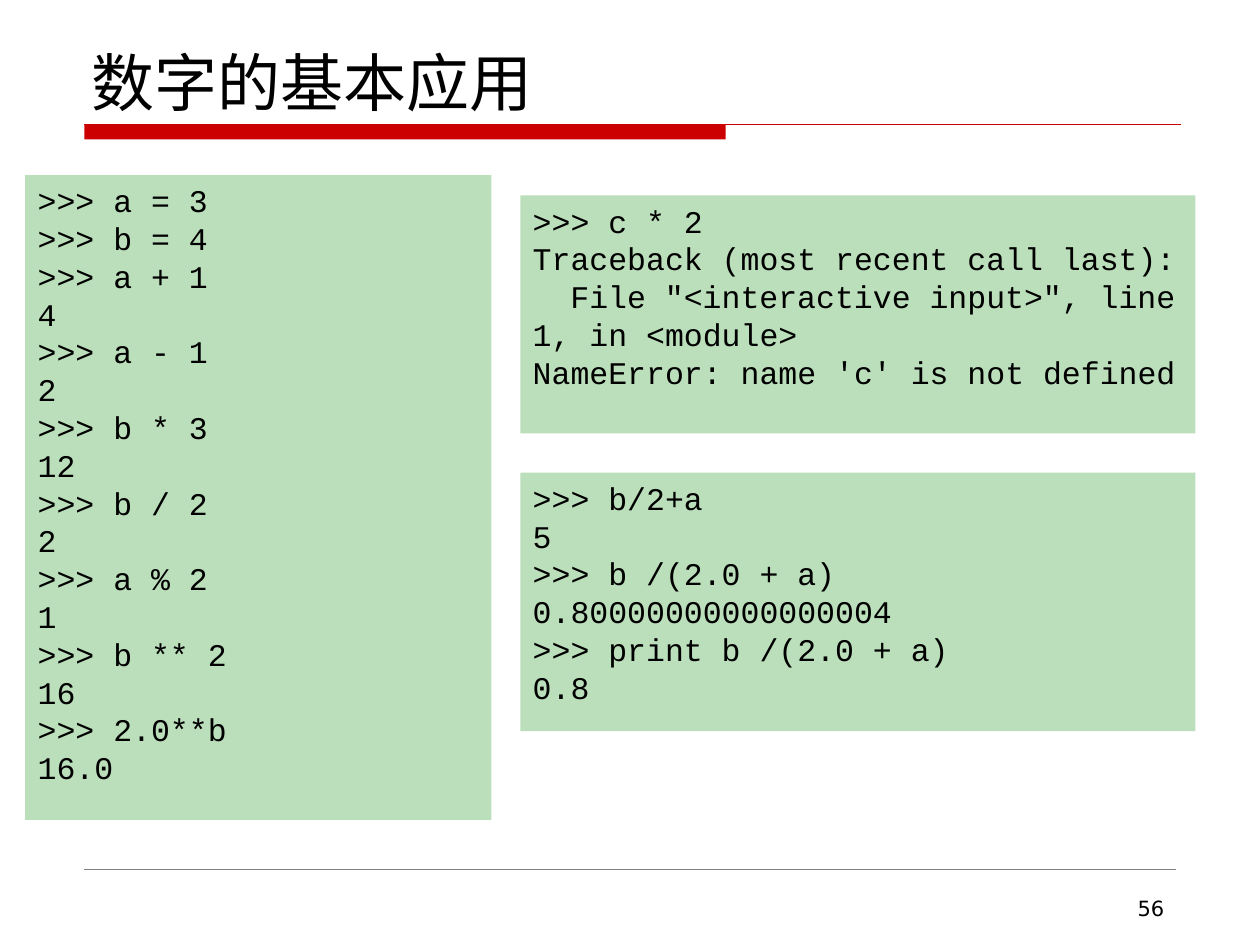
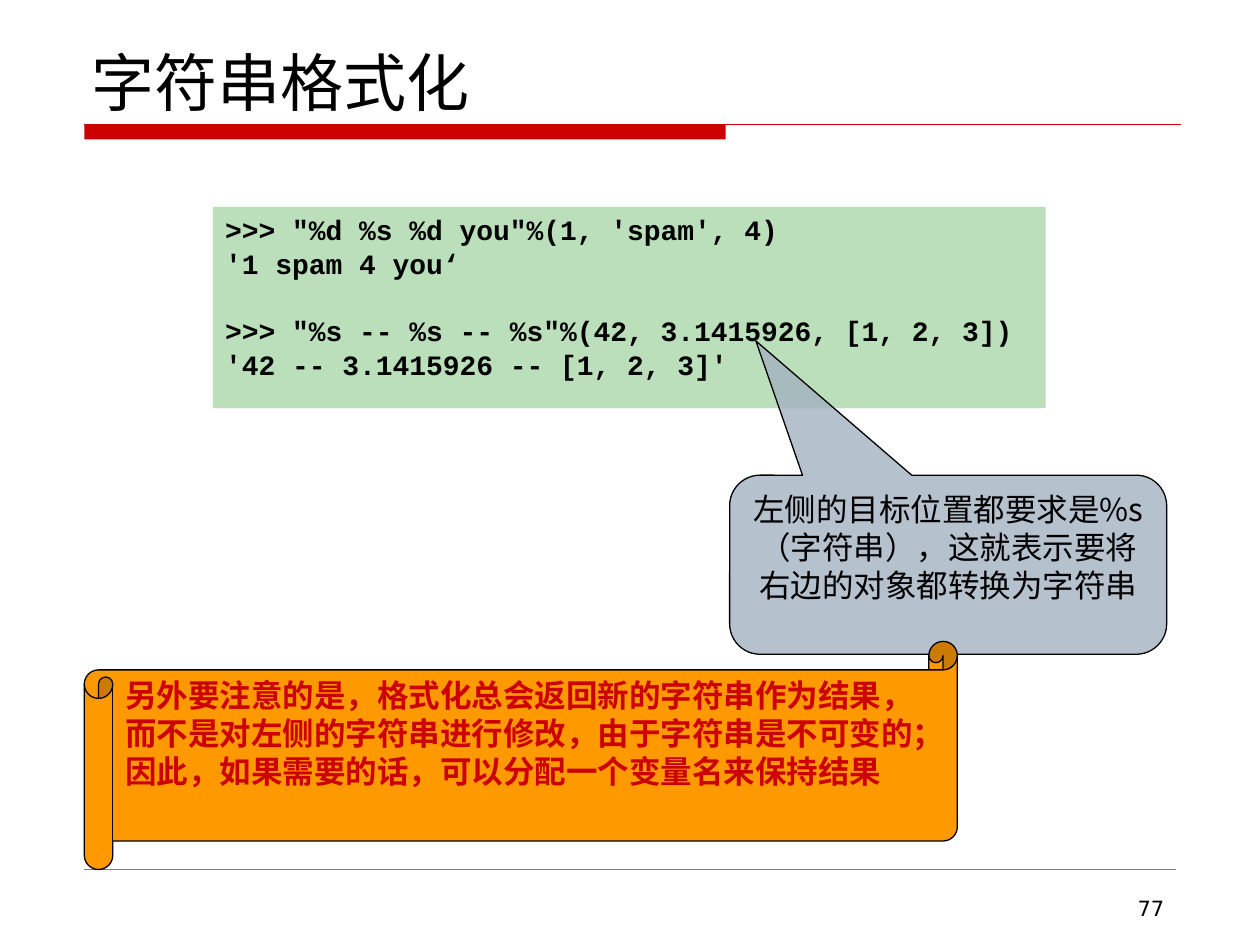
import pptx
import pptx.util
import pptx.dml.color
import pptx.enum.shapes
import pptx.enum.text
import pptx.oxml.ns
import lxml.etree

Cm = pptx.util.Cm
Pt = pptx.util.Pt
RGBColor = pptx.dml.color.RGBColor
Shape = pptx.enum.shapes.MSO_SHAPE
Align = pptx.enum.text.PP_ALIGN
Anchor = pptx.enum.text.MSO_ANCHOR
qn = pptx.oxml.ns.qn

BLACK = RGBColor(0x00, 0x00, 0x00)
RED = RGBColor(0xCC, 0x00, 0x00)
GREY = RGBColor(0x80, 0x80, 0x80)
CODE_GREEN = RGBColor(0xBB, 0xDF, 0xBB)
CALLOUT_BLUE = RGBColor(0xA3, 0xB2, 0xC1)
SCROLL_ORANGE = RGBColor(0xFF, 0x99, 0x00)

SANS = "DejaVu Sans"
CHINESE = "Noto Sans CJK SC"
MONO = "Courier New"

LINE_PITCH = 1.2
TRACE_INDENT = Cm(0.76)

ARITHMETIC = [
    (">>> a = 3",), (">>> b = 4",),
    (">>> a + 1", "4"), (">>> a - 1", "2"), (">>> b * 3", "12"),
    (">>> b / 2", "2"), (">>> a % 2", "1"), (">>> b ** 2", "16"),
    (">>> 2.0**b", "16.0"),
]
NAME_ERROR = [
    ">>> c * 2",
    "Traceback (most recent call last):",
    'File "<interactive input>", line 1, in <module>',
    "NameError: name 'c' is not defined",
]
PRECEDENCE = [
    ">>> b/2+a", "5",
    ">>> b /(2.0 + a)", "0.80000000000000004",
    ">>> print b /(2.0 + a)", "0.8",
]
FORMATTING = [
    ">>> \"%d %s %d you\"%(1, 'spam', 4)",
    "'1 spam 4 you‘",
    '>>> "%s -- %s -- %s"%(42, 3.1415926, [1, 2, 3])',
    "'42 -- 3.1415926 -- [1, 2, 3]'",
]
CALLOUT_TEXT = "左侧的目标位置都要求是%s（字符串），这就表示要将右边的对象都转换为字符串"
SCROLL_TEXT = (
    "另外要注意的是，格式化总会返回新的字符串作为结果，"
    "而不是对左侧的字符串进行修改，由于字符串是不可变的；"
    "因此，如果需要的话，可以分配一个变量名来保持结果"
)


def write(shape, lines, size, font, color=BLACK, bold=False,
          align=Align.LEFT, anchor=Anchor.TOP):
    frame = shape.text_frame
    frame.word_wrap = True
    frame.vertical_anchor = anchor
    for index, line in enumerate(lines):
        para = frame.add_paragraph() if index else frame.paragraphs[0]
        para.alignment = align
        para.line_spacing = Pt(size * LINE_PITCH)
        span = para.add_run()
        span.text = line
        span.font.size = Pt(size)
        span.font.bold = bold
        span.font.name = font
        span.font.color.rgb = color
        east_asian = lxml.etree.SubElement(span.font._element, qn("a:ea"))
        east_asian.set("typeface", CHINESE)
    return frame.paragraphs


def add_panel(page, kind, box, fill, outline=None):
    panel = page.shapes.add_shape(kind, *map(Cm, box))
    panel.shadow.inherit = False
    panel.fill.solid()
    panel.fill.fore_color.rgb = fill
    if outline is None:
        panel.line.fill.background()
    else:
        panel.line.color.rgb = outline
        panel.line.width = Pt(0.75)
    return panel


def add_rule(page, left, top, width, color, weight):
    rule = page.shapes.add_connector(
        pptx.enum.shapes.MSO_CONNECTOR.STRAIGHT,
        Cm(left), Cm(top), Cm(left + width), Cm(top))
    rule.line.color.rgb = color
    rule.line.width = Pt(weight)
    lxml.etree.SubElement(rule._element.spPr, qn("a:effectLst"))


def add_label(page, box, text, size, **style):
    label = page.shapes.add_textbox(*map(Cm, box))
    write(label, [text], size, SANS, **style)


def add_frame(deck, title, number):
    page = deck.slides.add_slide(deck.slide_layouts[6])
    left, top = 1.7, 2.51
    add_panel(page, Shape.RECTANGLE, (left, top, 12.93, 0.3), RED)
    add_rule(page, left, top, 22.1, RED, 0.75)
    add_rule(page, left, 17.53, 22, GREY, 0.25)
    add_label(page, (1.6, 0.84, 22.23, 1.68), title, 36, anchor=Anchor.BOTTOM)
    add_label(page, (18.21, 17.93, 5.51, 0.74), str(number), 12,
              align=Align.RIGHT)
    return page


def add_code(page, box, lines, size=18, bold=False):
    panel = add_panel(page, Shape.RECTANGLE, box, CODE_GREEN)
    return write(panel, lines, size, MONO, bold=bold)


def add_callout(page, box):
    callout = add_panel(page, Shape.ROUNDED_RECTANGULAR_CALLOUT, box,
                        CALLOUT_BLUE, BLACK)
    for index, value in enumerate((-0.44, -1.25, 0.17)):
        callout.adjustments[index] = value
    color = callout._element.spPr.find(qn("a:solidFill"))[0]
    lxml.etree.SubElement(color, qn("a:alpha")).set("val", "80000")
    write(callout, [CALLOUT_TEXT], 18, CHINESE, align=Align.CENTER)


def add_scroll(page, box):
    scroll = add_panel(page, Shape.HORIZONTAL_SCROLL, box,
                       SCROLL_ORANGE, BLACK)
    write(scroll, [SCROLL_TEXT], 18, SANS, RED, bold=True)


def build_numbers(deck):
    page = add_frame(deck, "数字的基本应用", 56)
    add_code(page, (0.51, 3.53, 9.4, 13),
             [line for step in ARITHMETIC for line in step])
    right, width = 10.49, 13.61
    trace = add_code(page, (right, 3.94, width, 4.8), NAME_ERROR)
    trace[2]._p.get_or_add_pPr().set("indent", str(TRACE_INDENT))
    add_code(page, (right, 9.53, width, 5.21), PRECEDENCE)


def build_formatting(deck):
    page = add_frame(deck, "字符串格式化", 77)
    size = 16
    code = add_code(page, (4.29, 4.17, 16.79, 4.06), FORMATTING, size, True)
    code[2].space_before = Pt(size * LINE_PITCH)
    add_callout(page, (14.71, 9.58, 8.81, 3.61))
    add_scroll(page, (1.7, 12.93, 17.6, 4.6))


def main():
    deck = pptx.Presentation()
    deck.slide_width = Cm(25.4)
    deck.slide_height = Cm(19.05)
    build_numbers(deck)
    build_formatting(deck)
    deck.save("out.pptx")


if __name__ == "__main__":
    main()
